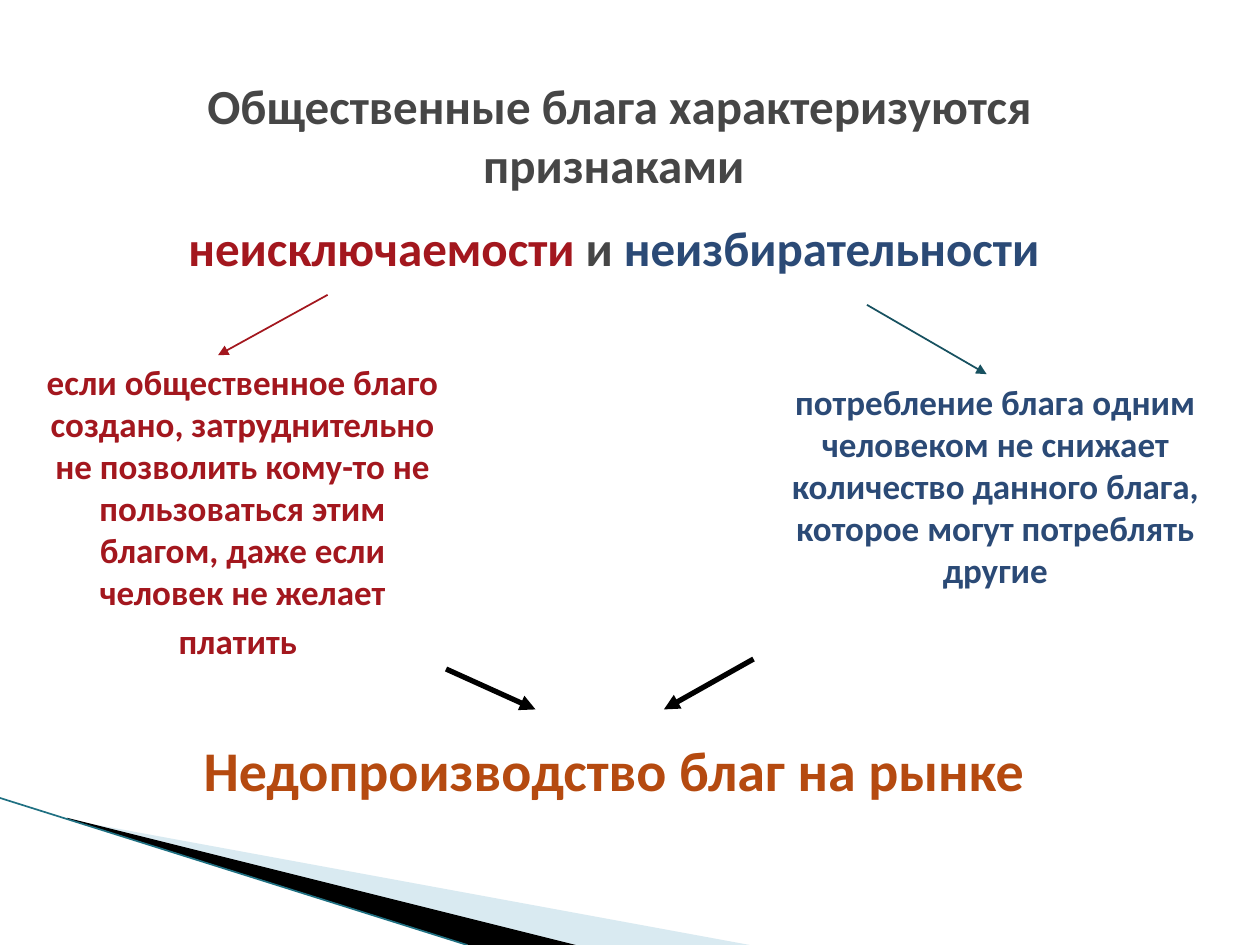
"""Build a slide on the two features of public goods and their market outcome."""
from lxml.etree import SubElement
from pptx import Presentation
from pptx.dml.color import RGBColor as RGB
from pptx.enum.shapes import MSO_CONNECTOR as CONN
from pptx.enum.text import MSO_ANCHOR as ANCHOR, MSO_AUTO_SIZE as AUTO, PP_ALIGN as ALIGN
from pptx.oxml.ns import qn
from pptx.util import Pt

THEME = {
    "font": "Calibri", "heading": 28, "detail": 20, "detail_end": 24, "outcome": 32,
    "grey": "464646", "red": "A3171E", "blue": "2B4A76", "teal": "175160",
    "orange": "B54A10", "black": "000000", "pale": "A0CBDC", "edge": "1F7082",
}
HEADING = {"box": (50.4, 39.6, 607, 126), "paragraphs": [
    [("Общественные блага характеризуются признаками ", "heading", "grey")],
    [("неисключаемости ", "heading", "red"), ("и ", "heading", "grey"),
     ("неизбирательности ", "heading", "blue")],
]}
BOXES = [
    {"box": (16.6, 202.3, 244, 181.4), "paragraphs": [[
        ("если общественное благо создано, затруднительно не позволить кому-то не "
         "пользоваться этим благом, даже если человек не желает платить", "detail", "red"),
        (" ", "detail_end", "red")]]},
    {"box": (438.5, 213.8, 260.6, 128.2), "paragraphs": [[
        ("потребление блага одним человеком не снижает количество данного блага, "
         "которое могут потреблять другие", "detail", "blue")]]},
    {"box": (50.4, 416.9, 601.2, 46), "paragraphs": [[
        ("Недопроизводство благ на рынке", "outcome", "orange")]]},
]
ARROWS = [
    ((187.2, 168.5), (124.6, 203), "red", 1),
    ((495.4, 174.2), (563.8, 213.8), "teal", 1),
    ((254.9, 382.3), (306, 405.4), "black", 3),
    ((430.6, 376.6), (379.4, 405.4), "black", 3),
]
WEDGES = [
    ([(39.6, 468.5), (428.4, 540), (328.3, 540), (39.6, 468)], "pale", 40),
    ([(38.2, 467.3), (329, 540), (267.8, 540), (38.9, 468)], "black", 100),
]
EDGE = ((0, 456), (267, 540), "edge", 0.95)


def color(name):
    return RGB.from_string(THEME[name])


def set_attrs(obj, **values):
    for name, value in values.items():
        setattr(obj, name, value)


def fill_text(sp, box, paragraphs):
    left, top, width, height = map(Pt, box)
    set_attrs(sp, left=left, top=top, width=width, height=height)
    tf = sp.text_frame
    set_attrs(tf, word_wrap=True, auto_size=AUTO.NONE, vertical_anchor=ANCHOR.TOP)
    for i, runs in enumerate(paragraphs):
        p = tf.add_paragraph() if i else tf.paragraphs[0]
        set_attrs(p, alignment=ALIGN.CENTER,
                  space_before=Pt(THEME["heading"] / 2 if i else 0))
        for text, size, tone in runs:
            r = p.add_run()
            r.text = text
            set_attrs(r.font, name=THEME["font"], size=Pt(THEME[size]), bold=True)
            r.font.color.rgb = color(tone)


def add_line(shapes, start, end, tone, width, arrow=True):
    ln = shapes.add_connector(CONN.STRAIGHT, *map(Pt, start + end))
    ln.line.color.rgb = color(tone)
    ln.line.width = Pt(width)
    if arrow:
        SubElement(ln.line._get_or_add_ln(), qn("a:tailEnd"), type="triangle")
    SubElement(ln._element.spPr, qn("a:effectLst"))


def add_wedge(shapes, points, tone, opacity):
    pts = [tuple(map(Pt, point)) for point in points]
    builder = shapes.build_freeform(*pts[0])
    builder.add_line_segments(pts[1:], close=True)
    sp = builder.convert_to_shape()
    sp.shadow.inherit = False
    sp.fill.solid()
    sp.fill.fore_color.rgb = color(tone)
    sp.line.fill.background()
    if opacity < 100:
        clr = sp._element.spPr.find(qn("a:solidFill"))[0]
        SubElement(clr, qn("a:alpha"), val=str(opacity * 1000))


def main():
    prs = Presentation()
    set_attrs(prs, slide_width=Pt(720), slide_height=Pt(540))
    shapes = prs.slides.add_slide(prs.slide_layouts[5]).shapes
    for wedge in WEDGES:
        add_wedge(shapes, *wedge)
    add_line(shapes, *EDGE, arrow=False)
    fill_text(shapes.title, **HEADING)
    for item in BOXES:
        fill_text(shapes.add_textbox(*map(Pt, item["box"])), **item)
    for arrow in ARROWS:
        add_line(shapes, *arrow)
    prs.save("out.pptx")


if __name__ == "__main__":
    main()
